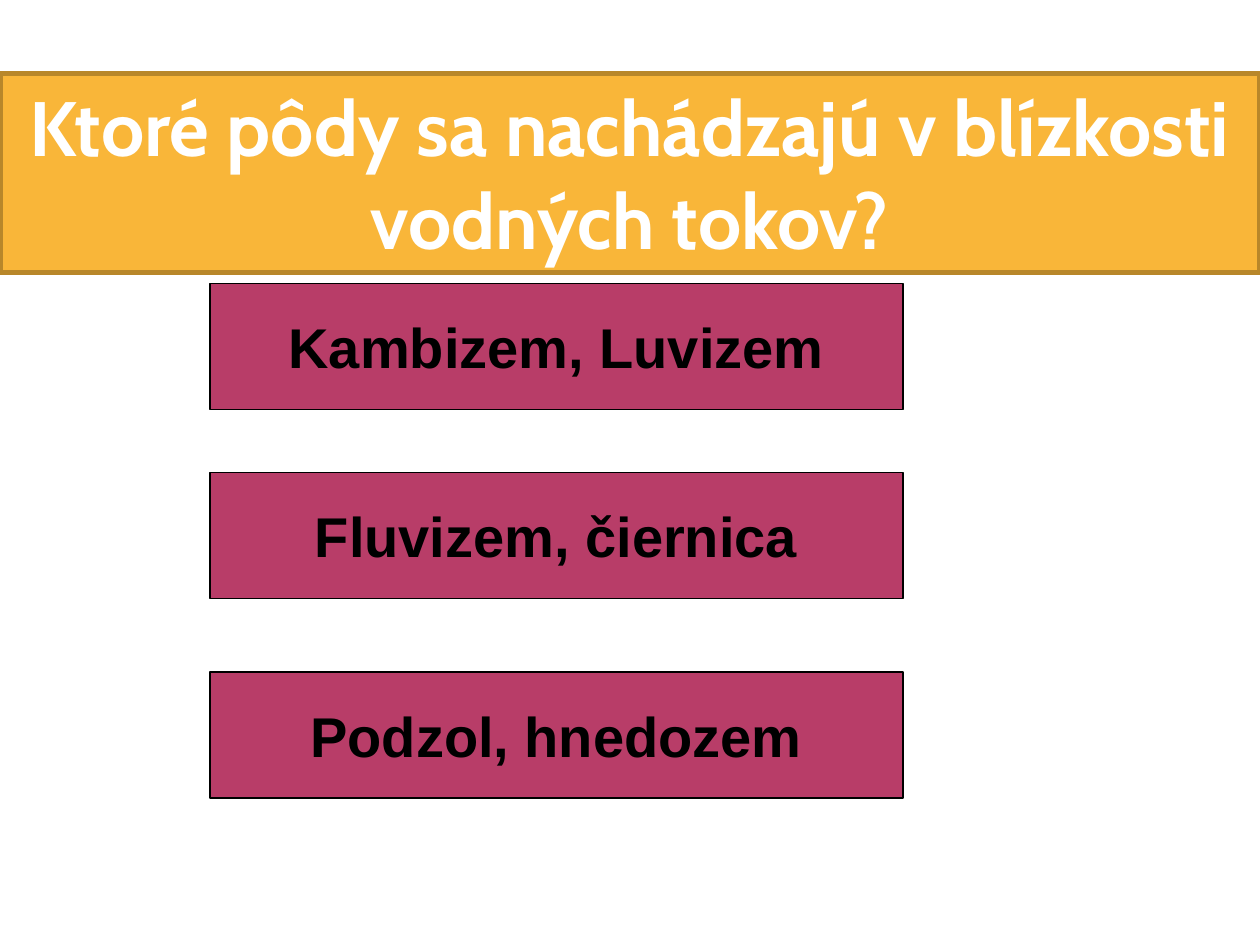
import pptx
import pptx.util
import pptx.dml.color
import pptx.enum.shapes
import pptx.enum.text

Pt = pptx.util.Pt
SHAPE = pptx.enum.shapes.MSO_SHAPE
ANCHOR = pptx.enum.text.MSO_ANCHOR

QUESTION = "Ktoré pôdy sa nachádzajú v blízkosti vodných tokov?"
ANSWERS = [
    ("Kambizem, Luvizem", 162),
    ("Fluvizem, čiernica", 270),
    ("Podzol, hnedozem", 384),
]


def rgb(color):
    return pptx.dml.color.RGBColor.from_string(color)


def add_box(s, kind, box, fill, line, width, text, font, size, color, anchor, wrap):
    sp = s.shapes.add_shape(kind, *[Pt(v) for v in box])
    sp.shadow.inherit = False
    sp.fill.solid()
    sp.fill.fore_color.rgb = rgb(fill)
    sp.line.color.rgb = rgb(line)
    sp.line.width = Pt(width)
    tf = sp.text_frame
    tf.word_wrap = wrap
    tf.vertical_anchor = anchor
    p = tf.paragraphs[0]
    p.alignment = pptx.enum.text.PP_ALIGN.CENTER
    r = p.add_run()
    r.text = text
    r.font.name = font
    r.font.size = Pt(size)
    r.font.bold = True
    r.font.color.rgb = rgb(color)


prs = pptx.Presentation()
prs.slide_width, prs.slide_height = Pt(720), Pt(540)
s = prs.slides.add_slide(prs.slide_layouts[6])

add_box(s, SHAPE.RECTANGLE, (0, 42, 720, 113.75), "F9B639", "B8872A", 3.15,
        QUESTION, "Cabin", 44, "FFFFFF", ANCHOR.TOP, True)
for answer, top in ANSWERS:
    add_box(s, SHAPE.ACTION_BUTTON_CUSTOM, (120, top, 396, 72), "B83D68", "000000", 0.75,
            answer, "Arial", 32, "000000", ANCHOR.MIDDLE, False)

prs.save("out.pptx")
